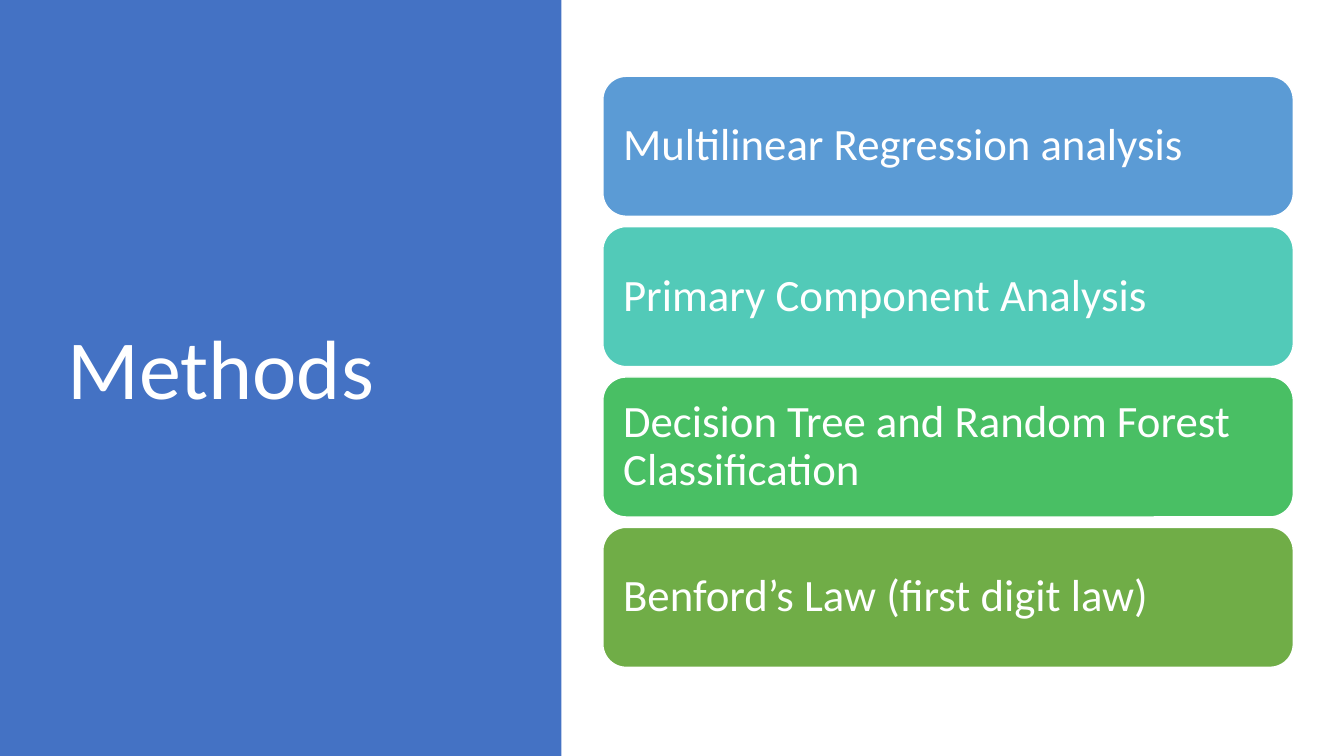
"""Build the Methods slide: a title panel beside a stack of method cards."""
import dataclasses

import pptx
import pptx.dml.color
import pptx.enum.shapes
import pptx.enum.text
import pptx.util

Pt = pptx.util.Pt
Shapes = pptx.enum.shapes.MSO_SHAPE


@dataclasses.dataclass(frozen=True)
class Theme:
    font: str = "Calibri"
    title_size: int = 60
    card_size: int = 32
    white: str = "FFFFFF"
    panel: str = "4472C4"
    cards: tuple = ("5B9BD5", "52CAB8", "49BF64", "70AD47")


class SlideBuilder:
    def __init__(self, slide, theme):
        self.slide = slide
        self.theme = theme

    def color(self, value):
        return pptx.dml.color.RGBColor.from_string(value)

    def shape(self, kind, left, top, width, height, fill):
        box = self.slide.shapes.add_shape(kind, Pt(left), Pt(top), Pt(width), Pt(height))
        box.shadow.inherit = False
        box.fill.solid()
        box.fill.fore_color.rgb = self.color(fill)
        return box

    def add_text(self, box, text, size):
        frame = box.text_frame
        frame.word_wrap = True
        frame.auto_size = pptx.enum.text.MSO_AUTO_SIZE.NONE
        frame.vertical_anchor = pptx.enum.text.MSO_ANCHOR.MIDDLE
        para = frame.paragraphs[0]
        para.alignment = pptx.enum.text.PP_ALIGN.LEFT
        para.line_spacing = 0.9
        para.space_before = Pt(0)
        span = para.add_run()
        span.text = text
        span.font.name = self.theme.font
        span.font.size = Pt(size)
        span.font.color.rgb = self.color(self.theme.white)

    def title(self, text, left, top, width, height):
        box = self.slide.shapes.title
        box.left, box.top, box.width, box.height = Pt(left), Pt(top), Pt(width), Pt(height)
        self.add_text(box, text, self.theme.title_size)

    def panel(self, width, height):
        box = self.shape(Shapes.RECTANGLE, 0, 0, width, height, self.theme.panel)
        box.line.fill.background()
        self.slide.shapes.title.element.addprevious(box.element)

    def card(self, text, left, top, width, height, fill):
        box = self.shape(Shapes.ROUNDED_RECTANGLE, left, top, width, height, fill)
        box.line.color.rgb = self.color(self.theme.white)
        box.line.width = Pt(1)
        frame = box.text_frame
        frame.margin_left = frame.margin_right = Pt(9.6)
        frame.margin_top = frame.margin_bottom = Pt(9.6)
        self.add_text(box, text, self.theme.card_size)


def main():
    theme = Theme()
    deck = pptx.Presentation()
    deck.slide_width, deck.slide_height = Pt(960), Pt(540)
    page = SlideBuilder(deck.slides.add_slide(deck.slide_layouts[5]), theme)

    page.panel(401, 540)
    page.title("Methods", 41, 49, 299.5, 433.5)

    methods = (
        "Multilinear Regression analysis",
        "Primary Component Analysis",
        "Decision Tree and Random Forest Classification",
        "Benford’s Law (first digit law)",
    )
    card_height, gap = 100, 7.4
    for index, (method, fill) in enumerate(zip(methods, theme.cards)):
        top = 54.5 + index * (card_height + gap)
        page.card(method, 430.6, top, 493.2, card_height, fill)

    deck.save("out.pptx")


if __name__ == "__main__":
    main()
